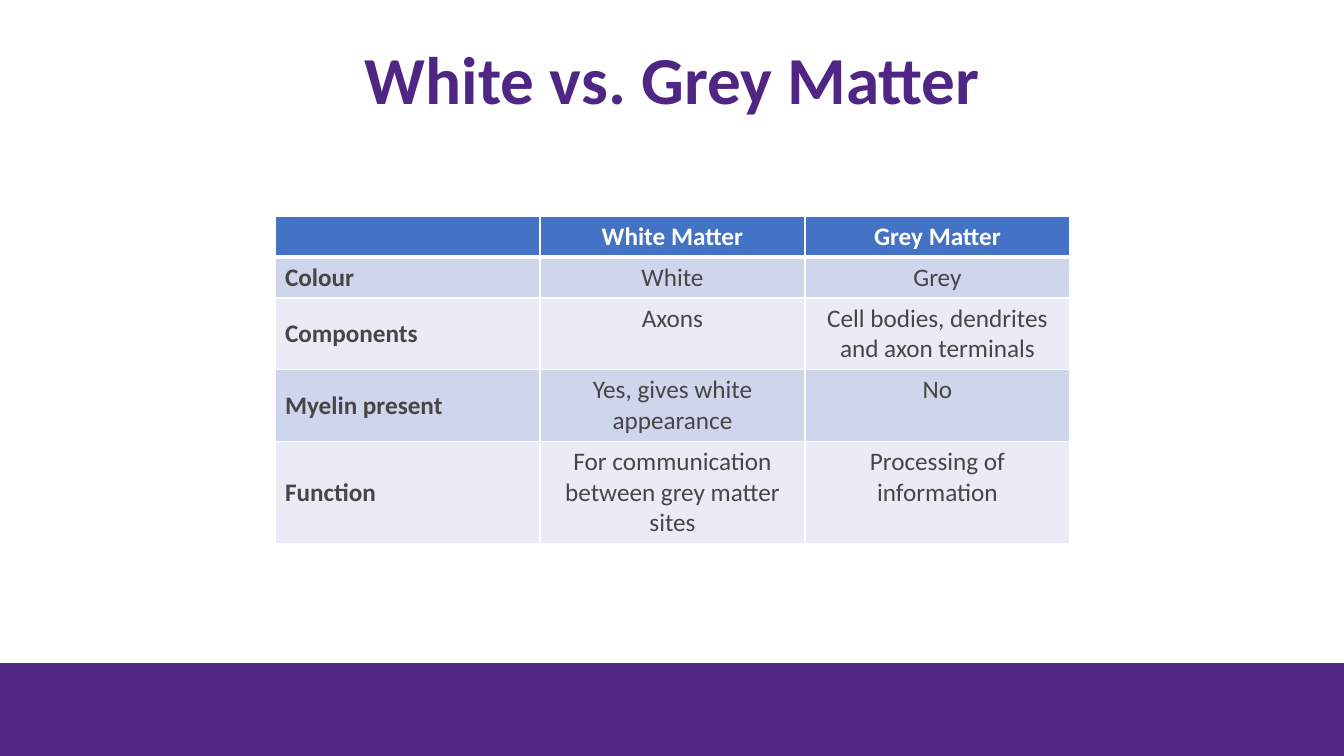
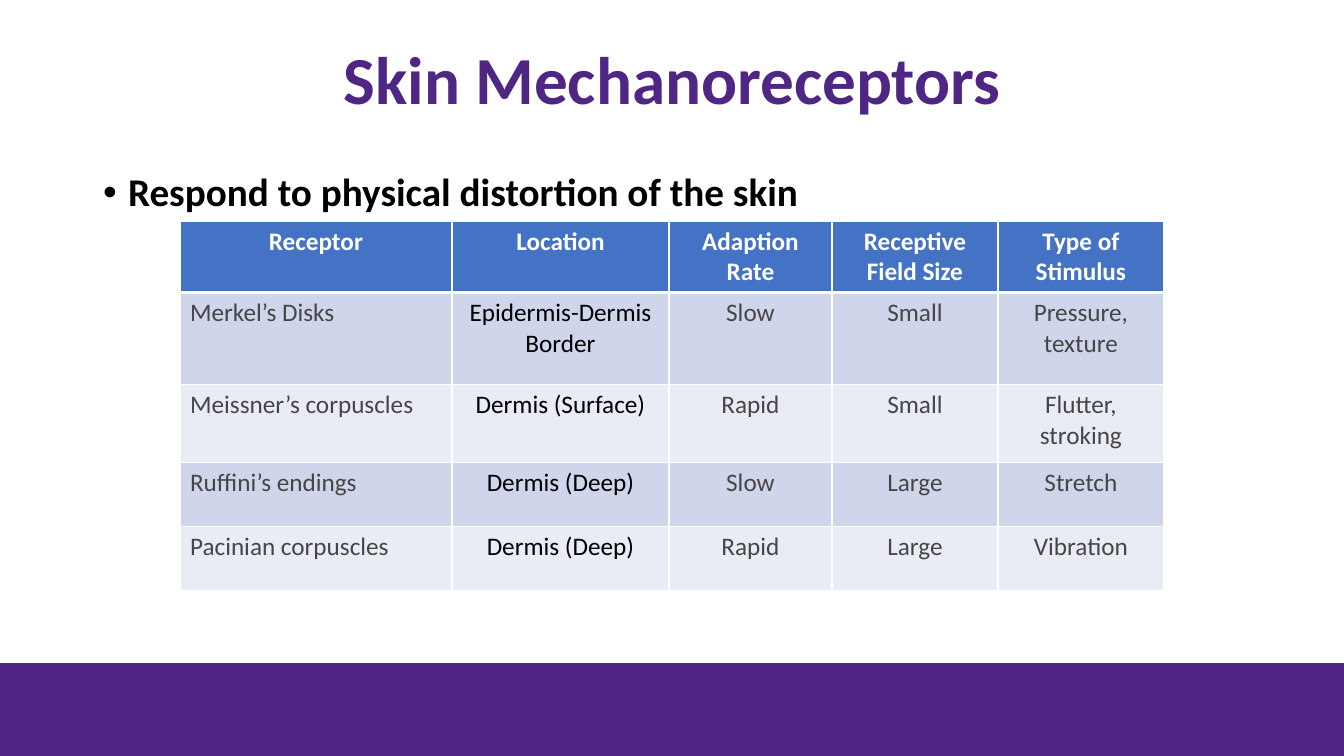
from lxml.etree import SubElement
from pptx import Presentation
from pptx.dml.color import RGBColor
from pptx.enum.shapes import MSO_SHAPE
from pptx.enum.text import MSO_ANCHOR, MSO_AUTO_SIZE, PP_ALIGN
from pptx.oxml.ns import qn
from pptx.util import Emu, Pt

W, H = 1344, 756
PURPLE, BLUE, WHITE, BLACK, GREY = "4F2683", "4472C4", "FFFFFF", "000000", "464646"
BANDS = ("CFD5EA", "E9EBF5")
TITLE_BOX = (93, 22, 1159, 121)
BODY_BOX = (93, 168, 1159, 487)
BAND_BOX = (0, 663, W, H - 663)
TITLE_FONT = {"name": "Calibri", "size": Pt(48), "bold": True}
BODY_FONT = {"name": "Calibri", "size": Pt(28), "bold": True}
CELL_FONT = {"name": "Calibri", "size": Pt(18)}

MATTER = [
    ("", "White Matter", "Grey Matter"),
    ("Colour", "White", "Grey"),
    ("Components", "Axons", "Cell bodies, dendrites and axon terminals"),
    ("Myelin present", "Yes, gives white appearance", "No"),
    ("Function", "For communication between grey matter sites", "Processing of information"),
]
RECEPTORS = [
    ("Receptor", "Location", "Adaption Rate", "Receptive Field Size", "Type of Stimulus"),
    ("Merkel’s Disks", "Epidermis-Dermis Border", "Slow", "Small", "Pressure, texture"),
    ("Meissner’s corpuscles", "Dermis (Surface)", "Rapid", "Small", "Flutter, stroking"),
    ("Ruffini’s endings", "Dermis (Deep)", "Slow", "Large", "Stretch"),
    ("Pacinian corpuscles", "Dermis (Deep)", "Rapid", "Large", "Vibration"),
]


def px(n):
    """Turn pixels into EMU."""
    return Emu(round(n * 914400 / 100.8))


def rgb(color):
    """Turn a hex string into a colour."""
    return RGBColor.from_string(color)


def set_attrs(obj, values):
    """Set each attribute named in a dict."""
    for name, value in values.items():
        setattr(obj, name, value)


def place(sp, box):
    """Move and size a shape to a pixel box."""
    set_attrs(sp, dict(zip(("left", "top", "width", "height"), map(px, box))))


def write(p, text, font, color, **paragraph):
    """Fill a paragraph with one formatted run."""
    set_attrs(p, paragraph)
    r = p.add_run()
    r.text = text
    set_attrs(r.font, font)
    r.font.color.rgb = rgb(color)


def add_title(s, text, box):
    """Write the centred slide title."""
    sp = s.shapes.title
    place(sp, box)
    tf = sp.text_frame
    set_attrs(tf, {"vertical_anchor": MSO_ANCHOR.MIDDLE, "auto_size": MSO_AUTO_SIZE.NONE})
    write(tf.paragraphs[0], text, TITLE_FONT, PURPLE,
          alignment=PP_ALIGN.CENTER, line_spacing=0.9)


def add_bullets(s, lines, box):
    """Write a bulleted list in the body placeholder."""
    sp = s.placeholders[1]
    place(sp, box)
    tf = sp.text_frame
    tf.auto_size = MSO_AUTO_SIZE.NONE
    for i, line in enumerate(lines):
        p = tf.add_paragraph() if i else tf.paragraphs[0]
        pPr = p._p.get_or_add_pPr()
        pPr.set("marL", str(px(25)))
        pPr.set("indent", str(-px(25)))
        SubElement(pPr, qn("a:buFont")).set("typeface", "Arial")
        SubElement(pPr, qn("a:buChar")).set("char", "•")
        write(p, line, BODY_FONT, BLACK, line_spacing=0.9, space_before=Pt(10 if i else 0))


def add_band(s, box):
    """Draw the footer band."""
    sp = s.shapes.add_shape(MSO_SHAPE.RECTANGLE, *map(px, box))
    sp.shadow.inherit = False
    sp.fill.solid()
    sp.fill.fore_color.rgb = rgb(PURPLE)
    sp.line.fill.background()


def add_borders(cell, widths):
    """Give a cell white left, right, top and bottom borders."""
    tcPr = cell._tc.get_or_add_tcPr()
    for side, width in zip("LRTB", widths):
        ln = SubElement(tcPr, qn("a:ln" + side), w=str(Pt(width)))
        SubElement(SubElement(ln, qn("a:solidFill")), qn("a:srgbClr")).set("val", WHITE)


def add_grid(s, rows, pos, cols, heights, labels=False, black_col=None):
    """Build a banded table; labels makes the first column bold and centred in height."""
    box = (*pos, sum(cols), sum(heights))
    table = s.shapes.add_table(len(rows), len(cols), *map(px, box)).table
    for col, width in zip(table.columns, cols):
        col.width = px(width)
    for i, (row, height) in enumerate(zip(rows, heights)):
        table.rows[i].height = px(height)
        for j, text in enumerate(row):
            cell = table.cell(i, j)
            head, label = i == 0, labels and j == 0
            add_borders(cell, (1, 1, 3 if i == 1 else 1, 3 if head else 1))
            cell.fill.solid()
            cell.fill.fore_color.rgb = rgb(BLUE if head else BANDS[(i - 1) % 2])
            cell.vertical_anchor = MSO_ANCHOR.MIDDLE if label else MSO_ANCHOR.TOP
            if text:
                color = WHITE if head else BLACK if j == black_col else GREY
                write(cell.text_frame.paragraphs[0], text,
                      {**CELL_FONT, "bold": head or label}, color,
                      alignment=PP_ALIGN.CENTER if head or j else PP_ALIGN.LEFT)


def add_table_slide(prs, title, bullets, **grid):
    """Add a slide with a title, optional bullets, the band and a table."""
    s = prs.slides.add_slide(prs.slide_layouts[1 if bullets else 5])
    add_title(s, title, TITLE_BOX)
    if bullets:
        add_bullets(s, bullets, BODY_BOX)
    add_band(s, BAND_BOX)
    add_grid(s, **grid)


def main():
    """Build and save the presentation."""
    prs = Presentation()
    set_attrs(prs, {"slide_width": px(W), "slide_height": px(H)})
    add_table_slide(prs, "White vs. Grey Matter", [], rows=MATTER, pos=(275, 216),
                    cols=[265] * 3, heights=[41] * 5, labels=True)
    add_table_slide(prs, "Skin Mechanoreceptors",
                    ["Respond to physical distortion of the skin"],
                    rows=RECEPTORS, pos=(180, 221), cols=[272, 217, 163, 166, 166],
                    heights=[64, 92, 78, 64, 64], black_col=1)
    prs.save("out.pptx")


if __name__ == "__main__":
    main()
